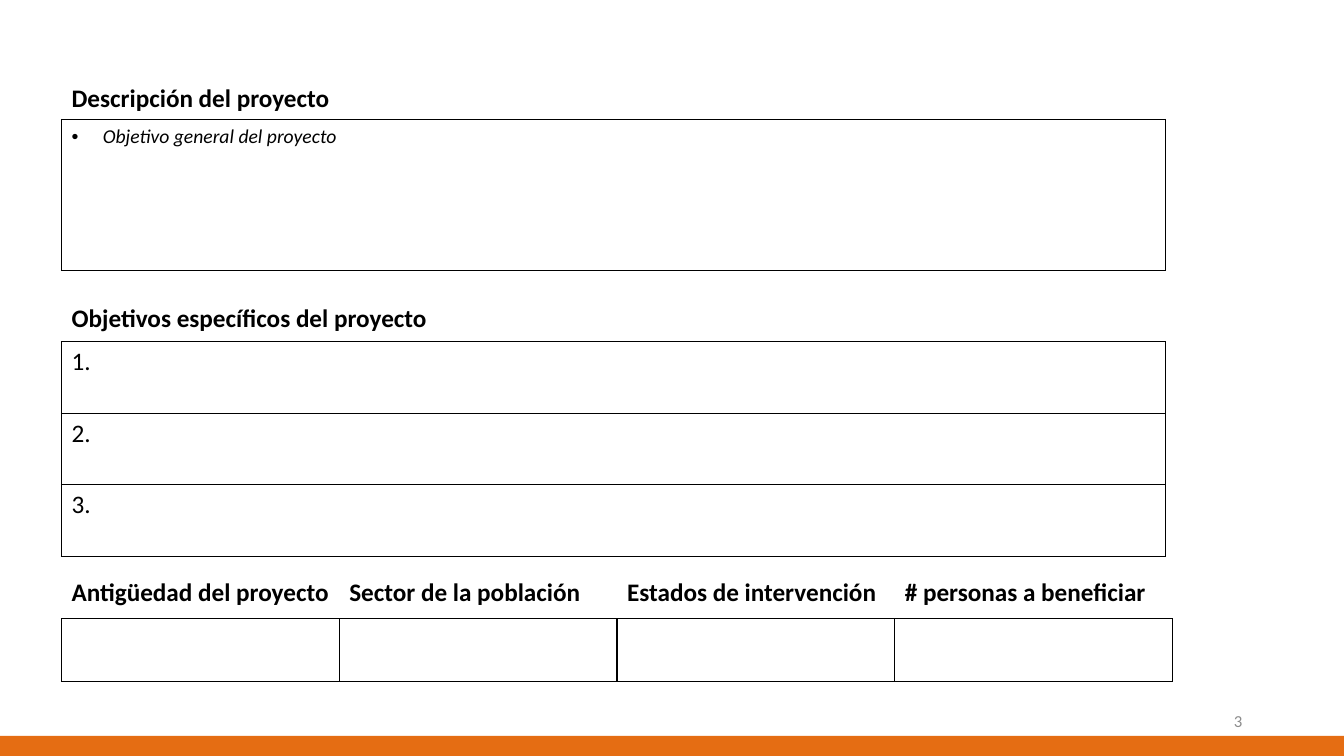
"""Build the project description form slide."""
from dataclasses import dataclass

from lxml.etree import SubElement
from pptx import Presentation
from pptx.dml.color import RGBColor as Rgb
from pptx.enum.shapes import MSO_SHAPE as Preset
from pptx.enum.text import MSO_ANCHOR as Anchor, PP_ALIGN as Align
from pptx.oxml.ns import qn
from pptx.util import Inches, Pt


@dataclass(frozen=True)
class Theme:
    font: str = "Calibri"
    ink: str = "000000"
    accent: str = "E56D13"
    muted: str = "8C8C8C"
    body_size: int = 18
    hint_size: int = 14
    number_size: int = 12
    rule_width: int = 1


THEME = Theme()


def write(frame, text, size=THEME.body_size, color=THEME.ink, bold=False,
          italic=False, align=Align.LEFT, bullet=None):
    paragraph = frame.paragraphs[0]
    paragraph.alignment = align
    if bullet:
        properties = paragraph._p.get_or_add_pPr()
        properties.set("marL", str(Inches(0.31)))
        properties.set("indent", str(Inches(-0.31)))
        SubElement(properties, qn("a:buFont"), typeface="Arial")
        SubElement(properties, qn("a:buChar"), char=bullet)
    run = paragraph.add_run()
    run.text = text
    font = run.font
    font.name, font.size = THEME.font, Pt(size)
    font.bold, font.italic = bold, italic
    font.color.rgb = Rgb.from_string(color)


class FormSlide:
    def __init__(self, presentation, theme):
        self.theme = theme
        self.slide = presentation.slides.add_slide(presentation.slide_layouts[6])

    def rule_cell(self, cell, ruled_sides):
        properties = cell._tc.get_or_add_tcPr()
        for side in "LRTB":
            edge = SubElement(properties, qn(f"a:ln{side}"),
                              w=str(Pt(self.theme.rule_width)))
            if side in ruled_sides:
                fill = SubElement(edge, qn("a:solidFill"))
                SubElement(fill, qn("a:srgbClr"), val=self.theme.ink)
            else:
                SubElement(edge, qn("a:noFill"))
        cell.fill.background()

    def table(self, top, width, headings, row_heights):
        columns = len(headings)
        grid = self.slide.shapes.add_table(
            len(row_heights), columns, Inches(0.61), Inches(top),
            Inches(width), Inches(sum(row_heights))).table
        grid.first_row = grid.horz_banding = False
        for column in grid.columns:
            column.width = Inches(width / columns)
        for row_index, height in enumerate(row_heights):
            row = grid.rows[row_index]
            row.height = Inches(height)
            for cell in row.cells:
                self.rule_cell(cell, "LRTB" if row_index else "B")
        for column_index, heading in enumerate(headings):
            if heading:
                write(grid.cell(0, column_index).text_frame, heading, bold=True)
        return grid

    def band(self, left, top, width, height):
        bar = self.slide.shapes.add_shape(
            Preset.RECTANGLE, Inches(left), Inches(top), Inches(width), Inches(height))
        bar.shadow.inherit = False
        bar.fill.solid()
        bar.fill.fore_color.rgb = Rgb.from_string(self.theme.accent)
        bar.line.fill.background()

    def page_number(self, number):
        frame = self.slide.shapes.add_textbox(
            Inches(9.42), Inches(6.95), Inches(3), Inches(0.4)).text_frame
        frame.word_wrap = True
        frame.vertical_anchor = Anchor.MIDDLE
        write(frame, number, size=self.theme.number_size,
              color=self.theme.muted, align=Align.RIGHT)


def main():
    presentation = Presentation()
    presentation.slide_width, presentation.slide_height = Inches(13.33), Inches(7.5)
    form = FormSlide(presentation, THEME)

    description = form.table(0.78, 10.95, ["Descripción del proyecto", ""], [0.4, 1.5])
    general_goal = description.cell(1, 0)
    general_goal.merge(description.cell(1, 1))
    write(general_goal.text_frame, "Objetivo general del proyecto",
          size=THEME.hint_size, italic=True, bullet="•")

    goals = form.table(2.96, 10.95, ["Objetivos específicos del proyecto"],
                       [0.43] + [0.71] * 3)
    for number in range(1, 4):
        write(goals.cell(number, 0).text_frame, f"{number}.")

    form.table(5.68, 11.02,
               ["Antigüedad del proyecto", "Sector de la población",
                "Estados de intervención", "# personas a beneficiar"], [0.46, 0.62])

    form.band(-0.01, 7.3, 13.34, 0.24)
    form.page_number("3")
    presentation.save("out.pptx")


if __name__ == "__main__":
    main()
